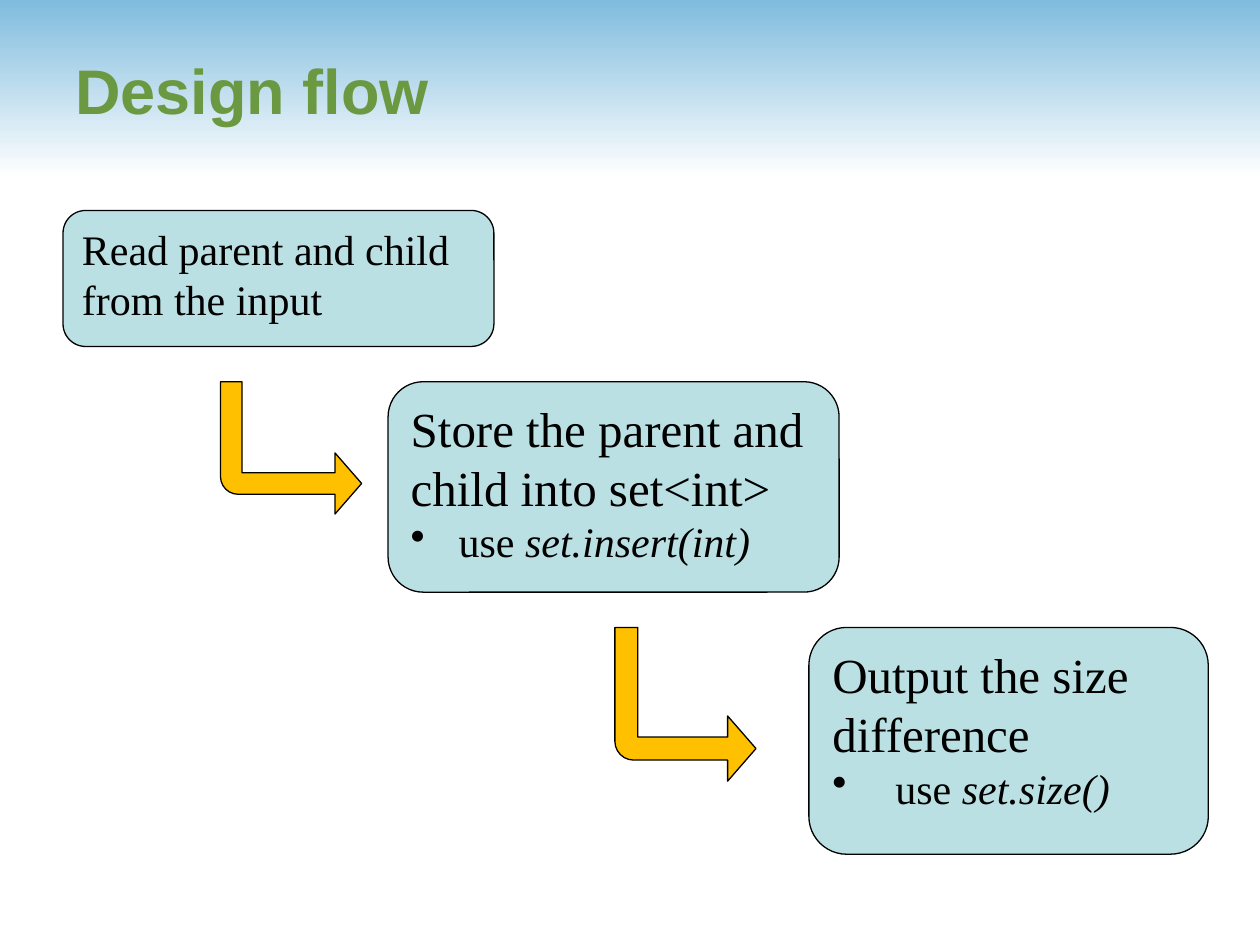
from pptx import Presentation
from pptx.dml.color import RGBColor
from pptx.enum.shapes import MSO_SHAPE
from pptx.enum.text import MSO_ANCHOR, PP_ALIGN
from pptx.oxml.ns import qn
from pptx.util import Inches, Pt

RECTANGLE = MSO_SHAPE.RECTANGLE
ROUNDED = MSO_SHAPE.ROUNDED_RECTANGLE
BENT_ARROW = MSO_SHAPE.BENT_ARROW
MIDDLE = MSO_ANCHOR.MIDDLE
TOP = MSO_ANCHOR.TOP
LEFT = PP_ALIGN.LEFT

THEME = {
    "title_font": "Arial", "body_font": "Times New Roman",
    "title_size": 36, "detail_size": 24,
    "title": "6B9941", "text": "000000", "line": "000000",
    "box": "BBE0E3", "arrow": "FFC000",
    "band_top": "80BCDE", "band_bottom": "FFFFFF",
}
PAGE_WIDTH, PAGE_HEIGHT = 10, 7.5
BAND_HEIGHT = 1.42
FIRST_TOP, STEP_GAP = 1.67, 0.28
ARROW_WIDTH = 1.12
ARROW_SHAPE = (0.163, 0.231, 0.201, 0.133)

TITLE = "Design flow"
# An arrow is (left, height) and leads into its step.
STEPS = [
    {"text": "Read parent and child from the input", "size": 24,
     "left": 0.5, "width": 3.42, "height": 1.08},
    {"text": "Store the parent and child into set<int>", "size": 28,
     "detail": "set.insert(int)", "indent": 0.38,
     "left": 3.08, "width": 3.58, "height": 1.67, "arrow": (1.75, 1.05)},
    {"text": "Output the size difference", "size": 28,
     "detail": "set.size()", "indent": 0.5,
     "left": 6.42, "width": 3.17, "height": 1.8, "arrow": (4.88, 1.22)},
]


def color(name):
    """Return a theme colour."""
    return RGBColor.from_string(THEME[name])


def add_span(para, text, size, font="body_font", ink="text", bold=None, italic=None):
    """Append one formatted run to a paragraph."""
    span = para.add_run()
    span.text = text
    span.font.name = THEME[font]
    span.font.size = Pt(size)
    span.font.bold = bold
    span.font.italic = italic
    span.font.color.rgb = color(ink)


def add_outlined(page, kind, fill, *frame):
    """Add a filled preset shape with a thin outline."""
    shape = page.shapes.add_shape(kind, *map(Inches, frame))
    shape.shadow.inherit = False
    shape.fill.solid()
    shape.fill.fore_color.rgb = color(fill)
    shape.line.color.rgb = color("line")
    shape.line.width = Pt(0.75)
    return shape


def add_band(page):
    """Add the gradient band behind the title."""
    band = page.shapes.add_shape(RECTANGLE, 0, 0, Inches(PAGE_WIDTH), Inches(BAND_HEIGHT))
    band.shadow.inherit = False
    band.line.fill.background()
    band.fill.gradient()
    band.fill.gradient_angle = 270
    for stop, name in zip(band.fill.gradient_stops, ("band_top", "band_bottom")):
        stop.color.rgb = color(name)


def add_title(page):
    """Add the slide title."""
    box = page.shapes.add_textbox(*map(Inches, (0.5, 0.08, 9.08, 1.25)))
    box.text_frame.word_wrap = True
    box.text_frame.vertical_anchor = MIDDLE
    add_span(box.text_frame.paragraphs[0], TITLE, THEME["title_size"],
             "title_font", "title", bold=True)


def add_bullet(para, indent):
    """Give a paragraph a hanging round bullet."""
    props = para._p.get_or_add_pPr()
    props.set("marL", str(Inches(indent)))
    props.set("indent", str(-Inches(indent)))
    bullet = props.makeelement(qn("a:buChar"), {"char": "•"})
    props.append(bullet)


def add_step(page, step, top):
    """Add one step box with its optional bulleted detail."""
    box = add_outlined(page, ROUNDED, "box", step["left"], top, step["width"], step["height"])
    frame = box.text_frame
    frame.word_wrap = True
    frame.vertical_anchor = TOP
    para = frame.paragraphs[0]
    para.alignment = LEFT
    add_span(para, step["text"], step["size"])
    if "detail" in step:
        para = frame.add_paragraph()
        para.alignment = LEFT
        add_bullet(para, step["indent"])
        add_span(para, "use ", THEME["detail_size"])
        add_span(para, step["detail"], THEME["detail_size"], italic=True)


def add_arrow(page, left, top, height):
    """Add an arrow that runs down and then right."""
    arrow = add_outlined(page, BENT_ARROW, "arrow", left, top, ARROW_WIDTH, height)
    for index, value in enumerate(ARROW_SHAPE):
        arrow.adjustments[index] = value
    arrow._element.spPr.find(qn("a:xfrm")).set("flipV", "1")


def build():
    """Build and save the deck."""
    deck = Presentation()
    deck.slide_width, deck.slide_height = Inches(PAGE_WIDTH), Inches(PAGE_HEIGHT)
    page = deck.slides.add_slide(deck.slide_layouts[6])
    add_band(page)
    add_title(page)
    top = FIRST_TOP
    for step in STEPS:
        add_step(page, step, top)
        if "arrow" in step:
            left, height = step["arrow"]
            add_arrow(page, left, top, height)
        top += step["height"] + STEP_GAP
    deck.save("out.pptx")


build()
